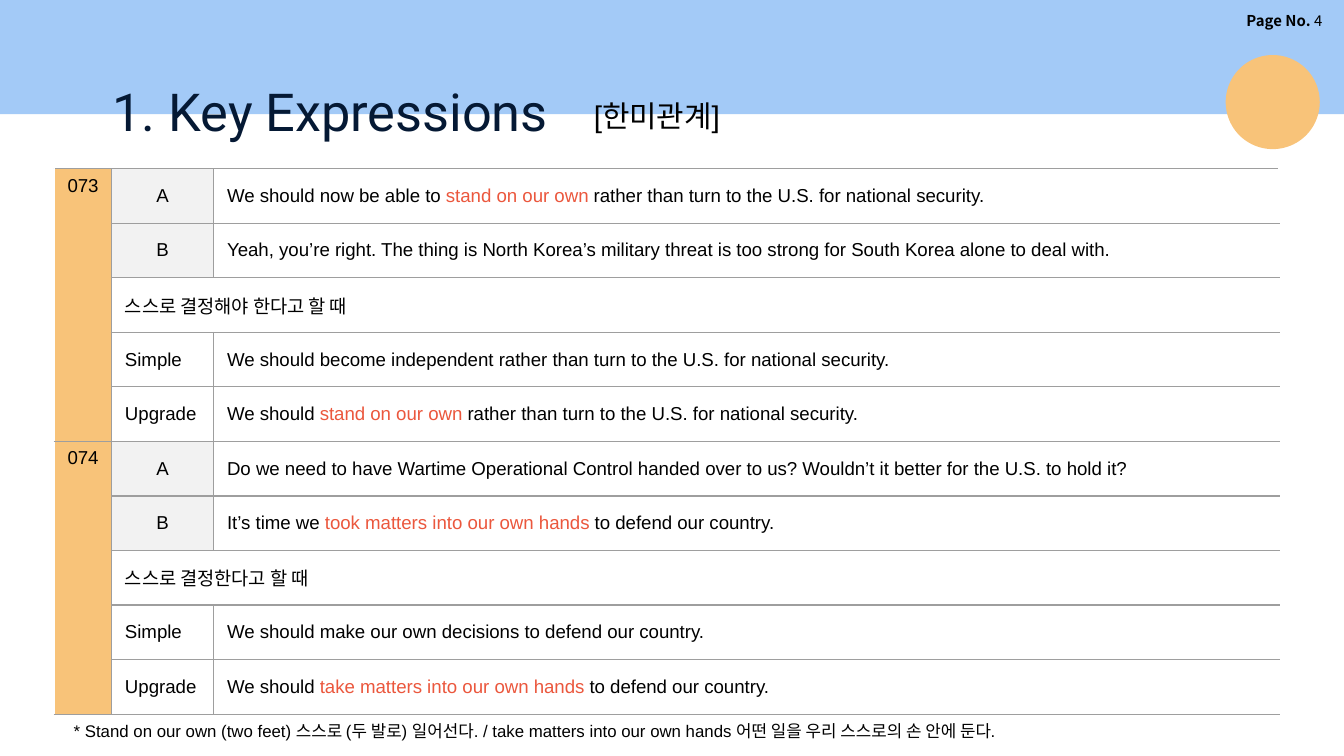
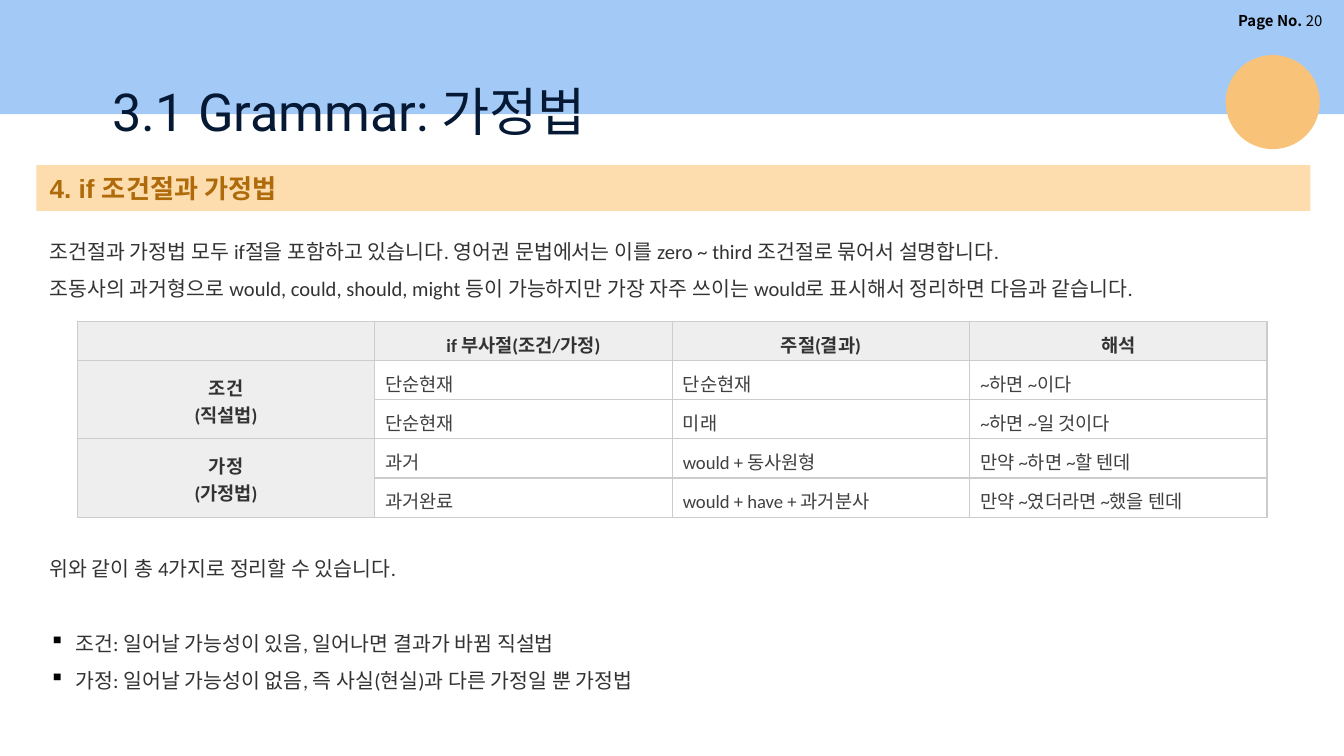
import pptx
import pptx.util
import pptx.dml.color
import pptx.enum.shapes
import pptx.enum.text
import pptx.oxml.ns
from lxml import etree

COLORS = {
    "band": "A3CAF7", "accent": "F8C379", "title": "051934", "ink": "000000",
    "white": "FFFFFF", "highlight": "EB573D", "speaker": "F2F2F2", "rule": "9E9E9E",
    "section": "FDDCAE", "section_ink": "AF6A09", "body": "333333",
    "value": "404040", "header": "EEEEEE", "grid": "CCCCCC",
}
SLIDE_WIDTH = pptx.util.Inches(10)
SLIDE_HEIGHT = SLIDE_WIDTH * 9 // 16
GRID_COLUMNS = 100
UNIT = SLIDE_WIDTH / GRID_COLUMNS
ALIGN = pptx.enum.text.PP_ALIGN
ANCHOR = pptx.enum.text.MSO_ANCHOR
SHAPE = pptx.enum.shapes.MSO_SHAPE

EXPRESSIONS = [
    ("073", [
        ("A", ["We should now be able to ", "stand on our own ",
               "rather than turn to the U.S. for national security."]),
        ("B", ["Yeah, you’re right. The thing is North Korea’s military threat "
               "is too strong for South Korea alone to deal with."]),
        ("스스로 결정해야 한다고 할 때", None),
        ("Simple", ["We should become independent rather than turn to the U.S. "
                    "for national security."]),
        ("Upgrade", ["We should ", "stand on our own ",
                     "rather than turn to the U.S. for national security."]),
    ]),
    ("074", [
        ("A", ["Do we need to have Wartime Operational Control handed over to us? "
               "Wouldn’t it better for the U.S. to hold it?"]),
        ("B", ["It’s time we ", "took matters into our own hands ",
               "to defend our country."]),
        ("스스로 결정한다고 할 때", None),
        ("Simple", ["We should make our own decisions to defend our country."]),
        ("Upgrade", ["We should ", "take matters into our own hands ",
                     "to defend our country."]),
    ]),
]
CLAUSE_HEADINGS = ["", "if 부사절(조건/가정)", "주절(결과)", "해석"]
CLAUSES = [
    (["조건", "(직설법)"], [["단순현재", "단순현재", "~하면 ~이다"],
                        ["단순현재", "미래", "~하면 ~일 것이다"]]),
    (["가정", "(가정법)"], [["과거", "would + 동사원형", "만약 ~하면 ~할 텐데"],
                        ["과거완료", "would + have + 과거분사", "만약 ~였더라면 ~했을 텐데"]]),
]


def grid(*counts):
    return [round(count * UNIT) for count in counts]


def rgb(color):
    return pptx.dml.color.RGBColor.from_string(COLORS[color])


def add_run(paragraph, text, size, font="Arial", color="ink", bold=False):
    run = paragraph.add_run()
    run.text = text
    run.font.size = pptx.util.Pt(size)
    run.font.name = font
    run.font.bold = bold
    run.font.color.rgb = rgb(color)


def add_text(slide, at, anchor=ANCHOR.TOP, insets=(1, 0.5)):
    frame = slide.shapes.add_textbox(*grid(*at)).text_frame
    frame.word_wrap = True
    frame.vertical_anchor = anchor
    frame.margin_left = frame.margin_right = grid(insets[0])[0]
    frame.margin_top = frame.margin_bottom = grid(insets[1])[0]
    return frame


def add_block(slide, kind, at, color):
    block = slide.shapes.add_shape(kind, *grid(*at))
    block.shadow.inherit = False
    block.fill.solid()
    block.fill.fore_color.rgb = rgb(color)
    block.line.fill.background()
    return block


def add_page(deck, number, title_runs):
    slide = deck.slides.add_slide(deck.slide_layouts[6])
    add_block(slide, SHAPE.RECTANGLE, (0, 0, GRID_COLUMNS, 8.5), "band")
    page_line = add_text(slide, (84.8, 0.4, 14.5, 2.3), insets=(0.9, 0.5)).paragraphs[0]
    page_line.alignment = ALIGN.RIGHT
    add_run(page_line, "Page No. ", 8, "Noto Sans CJK KR", bold=True)
    add_run(page_line, str(number), 8, "Noto Sans CJK KR")
    title = add_text(slide, (7.4, 4.9, 77.3, 6.3), insets=(1, 1)).paragraphs[0]
    for text, font in title_runs:
        add_run(title, text, 28, font, "title")
    add_block(slide, SHAPE.OVAL, (91.2, 4.1, 7, 7), "accent")
    return slide


def add_plain_table(slide, left, top, widths, row_count, row_height):
    table = slide.shapes.add_table(
        row_count, len(widths),
        *grid(left, top, sum(widths), row_count * row_height)).table
    table.first_row = table.horz_banding = False
    for column, width in zip(table.columns, grid(*widths)):
        column.width = width
    for row in table.rows:
        row.height = grid(row_height)[0]
    return table


def style_cell(cell, fill, edges, margins=(1, 0.5, 1, 0.5)):
    properties = cell._tc.get_or_add_tcPr()
    for side, (color, width) in zip("LRTB", edges):
        line = etree.SubElement(properties, pptx.oxml.ns.qn("a:ln" + side),
                                w=str(pptx.util.Pt(width)))
        solid = etree.SubElement(line, pptx.oxml.ns.qn("a:solidFill"))
        etree.SubElement(solid, pptx.oxml.ns.qn("a:srgbClr"), val=COLORS[color])
    cell.fill.solid()
    cell.fill.fore_color.rgb = rgb(fill)
    (cell.margin_left, cell.margin_top,
     cell.margin_right, cell.margin_bottom) = grid(*margins)
    cell.vertical_anchor = ANCHOR.MIDDLE
    etree.SubElement(cell.text_frame.paragraphs[0]._p,
                     pptx.oxml.ns.qn("a:endParaRPr"), sz="1000")


def add_expression_table(slide):
    row_count = sum(len(lines) for _, lines in EXPRESSIONS)
    table = add_plain_table(slide, 4.05, 12.55, (4.25, 7.6, 79.25), row_count, 4.06)
    rule, blank = ("rule", 0.75), ("white", 1)
    row = 0
    for number, lines in EXPRESSIONS:
        first = table.cell(row, 0)
        first.merge(table.cell(row + len(lines) - 1, 0))
        for label, sentence in lines:
            number_cell, label_cell, sentence_cell = [table.cell(row, i) for i in range(3)]
            spoken = label in ("A", "B")
            style_cell(number_cell, "accent", (blank, rule, rule, rule),
                       (0.5, 0.5, 0.5, 0.5))
            label_right = blank if sentence is None else rule
            style_cell(label_cell, "speaker" if spoken else "white",
                       (rule, label_right, rule, rule))
            style_cell(sentence_cell, "white", (rule, blank, rule, rule))
            if sentence is None:
                label_cell.merge(sentence_cell)
            label_line = label_cell.text_frame.paragraphs[0]
            label_line.alignment = ALIGN.CENTER if spoken else ALIGN.LEFT
            add_run(label_line, label, 10)
            for part, text in enumerate(sentence or []):
                add_run(sentence_cell.text_frame.paragraphs[0], text, 10,
                        color="highlight" if part % 2 else "ink")
            row += 1
        first.vertical_anchor = ANCHOR.TOP
        number_line = first.text_frame.paragraphs[0]
        number_line.alignment = ALIGN.CENTER
        add_run(number_line, number, 10)


def fill_heading(cell, lines):
    paragraph = cell.text_frame.paragraphs[0]
    paragraph.alignment = ALIGN.CENTER
    for index, text in enumerate(lines):
        if index:
            paragraph.add_line_break()
        add_run(paragraph, text, 10, "Calibri", "body", True)


def add_clause_table(slide):
    row_count = 1 + sum(len(rows) for _, rows in CLAUSES)
    table = add_plain_table(slide, 5.75, 23.9, [22.13] * 4, row_count, 2.92)
    edges = [("grid", 0.75)] * 4
    for row in range(row_count):
        for column in range(4):
            heading = row == 0 or column == 0
            style_cell(table.cell(row, column), "header" if heading else "white", edges,
                       (1, 0.7, 1, 0.5) if heading else (0.8, 0.7, 0.5, 0.5))
    for column, text in enumerate(CLAUSE_HEADINGS):
        if text:
            fill_heading(table.cell(0, column), [text])
    row = 1
    for mood, clause_rows in CLAUSES:
        mood_cell = table.cell(row, 0)
        mood_cell.merge(table.cell(row + len(clause_rows) - 1, 0))
        fill_heading(mood_cell, mood)
        for values in clause_rows:
            for column, text in enumerate(values, 1):
                add_run(table.cell(row, column).text_frame.paragraphs[0],
                        text, 10, "Calibri", "value")
            row += 1


def add_body_line(frame, text, first=False, bullet=False):
    paragraph = frame.paragraphs[0] if first else frame.add_paragraph()
    if bullet:
        properties = paragraph._p.get_or_add_pPr()
        indent = grid(1.9)[0]
        properties.set("marL", str(indent))
        properties.set("indent", str(-indent))
        tint = etree.SubElement(properties, pptx.oxml.ns.qn("a:buClr"))
        etree.SubElement(tint, pptx.oxml.ns.qn("a:srgbClr"), val=COLORS["ink"])
        etree.SubElement(properties, pptx.oxml.ns.qn("a:buChar"), char="▪")
    paragraph.line_spacing = 1.5
    add_run(paragraph, text, 11, "Calibri", "body")
    return paragraph


def build_expressions(deck):
    slide = add_page(deck, 4, [("1. Key Expressions", "Roboto")])
    add_expression_table(slide)
    topic = add_text(slide, (43.2, 6.8, 16, 3.7))
    add_run(topic.paragraphs[0], "[한미관계]", 16)
    footnote = add_text(slide, (4.5, 53.1, 93.7, 2.5))
    add_run(footnote.paragraphs[0],
            "* Stand on our own (two feet) 스스로 (두 발로) 일어선다. / "
            "take matters into our own hands 어떤 일을 우리 스스로의 손 안에 둔다.", 9)


def build_grammar(deck):
    slide = add_page(deck, 20, [("3.1 Grammar: ", "Roboto"), ("가정법", "Arial")])
    section = add_block(slide, SHAPE.RECTANGLE, (2.7, 12.3, 94.8, 3.4), "section")
    section.text_frame.vertical_anchor = ANCHOR.MIDDLE
    heading = section.text_frame.paragraphs[0]
    heading.alignment = ALIGN.LEFT
    add_run(heading, "4. if 조건절과 가정법", 14, color="section_ink", bold=True)
    intro = add_text(slide, (2.7, 16.5, 94.8, 6.3), ANCHOR.MIDDLE)
    add_body_line(intro, "조건절과 가정법 모두 if절을 포함하고 있습니다. 영어권 문법에서는 "
                  "이를 zero ~ third 조건절로 묶어서 설명합니다.", first=True)
    add_body_line(intro, "조동사의 과거형으로 would, could, should, might 등이 가능하지만 "
                  "가장 자주 쓰이는 would로 표시해서 정리하면 다음과 같습니다.")
    add_clause_table(slide)
    summary = add_text(slide, (2.7, 40.1, 94.8, 11.8), ANCHOR.MIDDLE)
    add_body_line(summary, "위와 같이 총 4가지로 정리할 수 있습니다.", first=True)
    condition = add_body_line(
        summary, "조건: 일어날 가능성이 있음, 일어나면 결과가 바뀜 직설법", bullet=True)
    condition.space_before = pptx.util.Pt(20)
    add_body_line(summary, "가정: 일어날 가능성이 없음, 즉 사실(현실)과 다른 가정일 뿐 가정법",
                  bullet=True)


def main():
    deck = pptx.Presentation()
    deck.slide_width = SLIDE_WIDTH
    deck.slide_height = SLIDE_HEIGHT
    build_expressions(deck)
    build_grammar(deck)
    deck.save("out.pptx")


if __name__ == "__main__":
    main()
